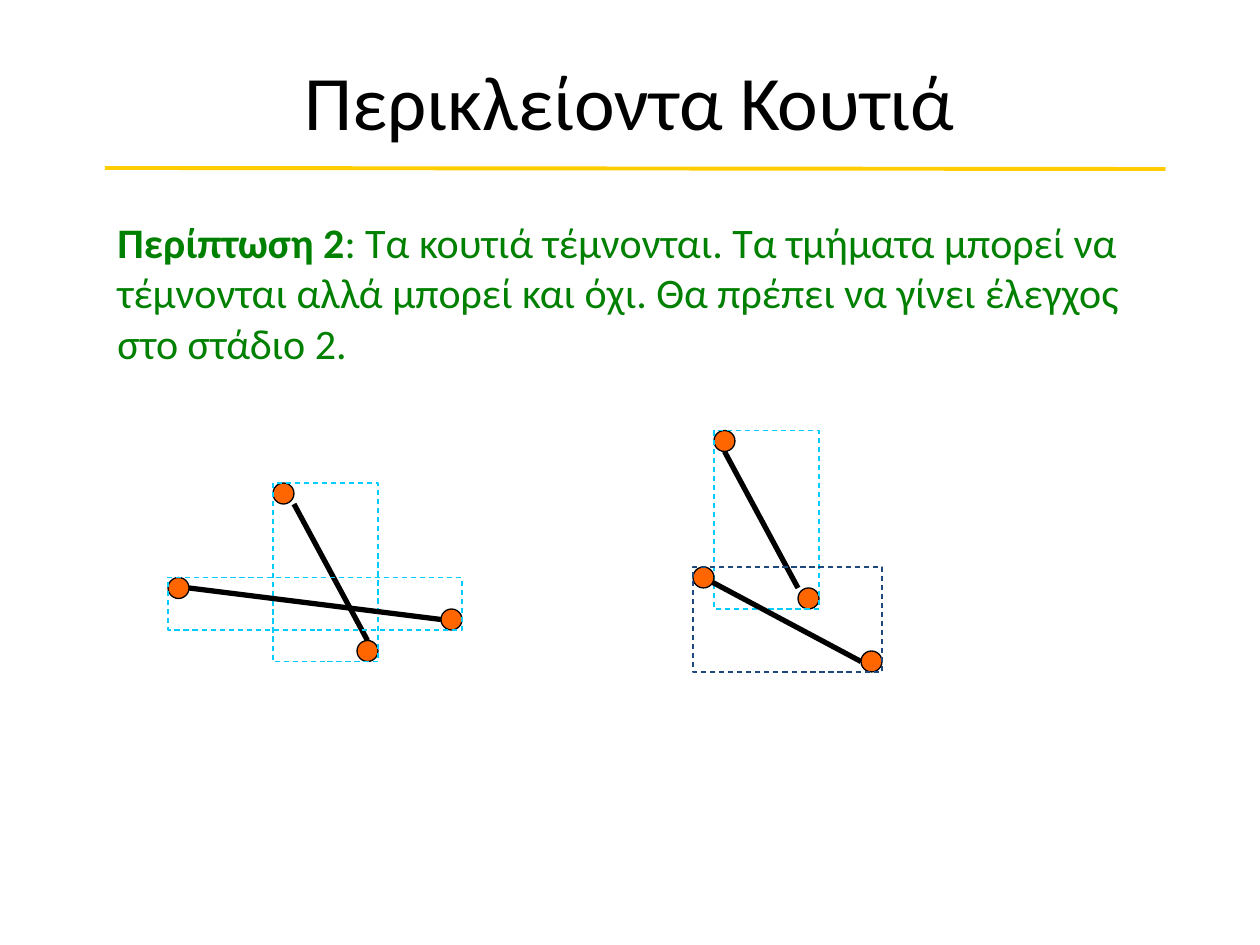
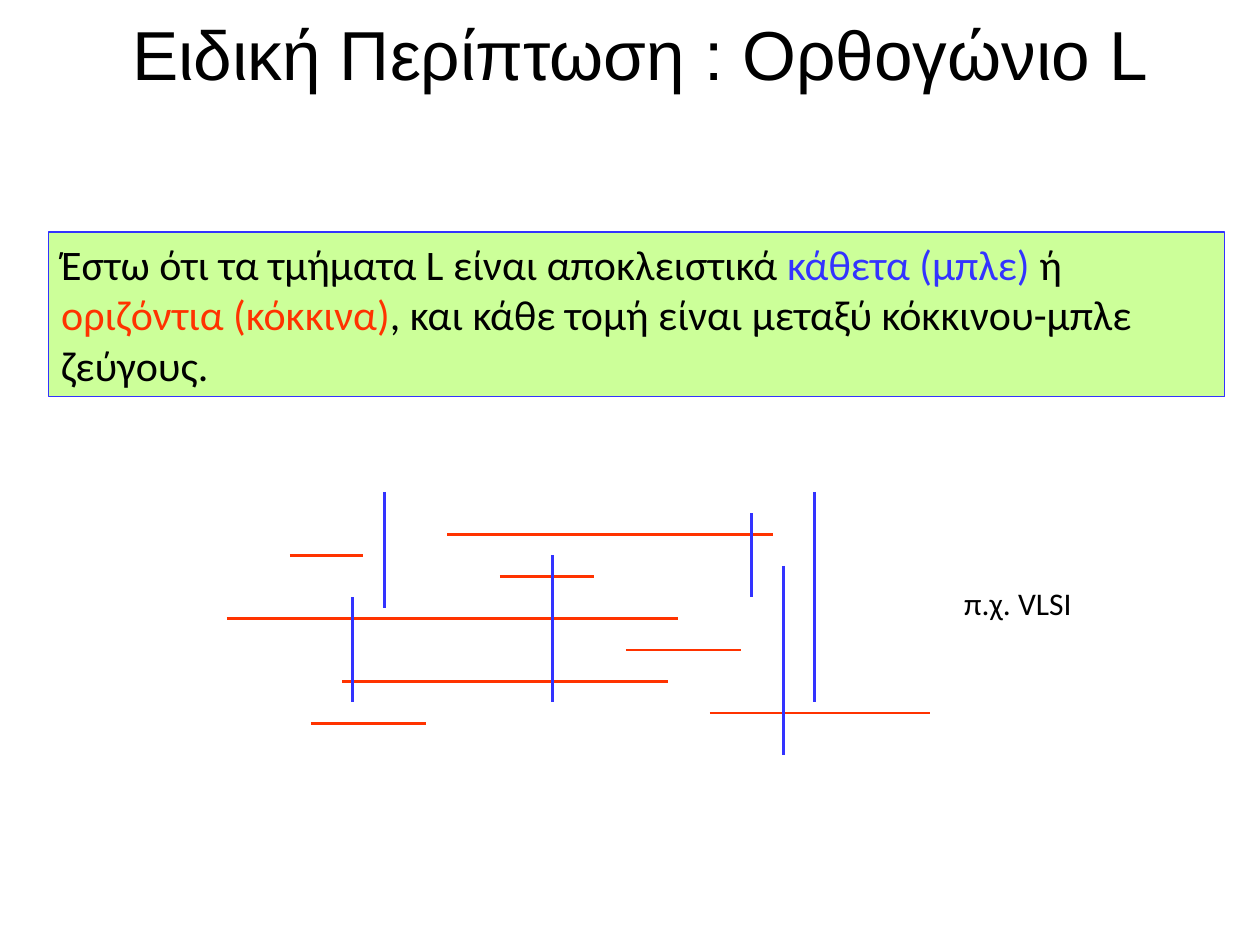
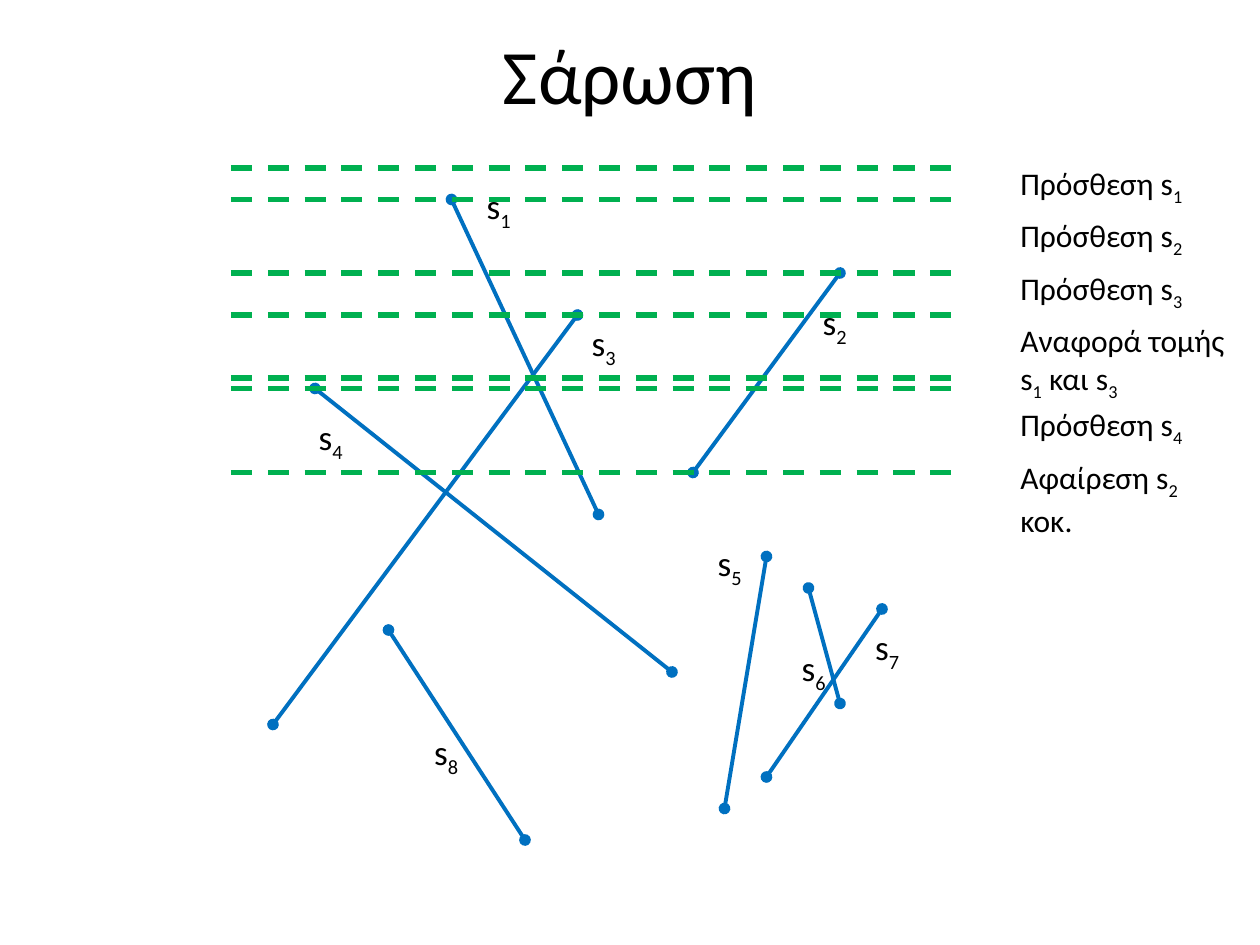
from lxml import etree
from pptx import Presentation
from pptx import util as u
from pptx.dml.color import RGBColor
from pptx.enum import dml, shapes, text
from pptx.oxml.ns import qn

COLOURS = {
    "black": "000000", "gold": "FFCC00", "green": "008000", "orange": "FF6600",
    "cyan": "00CCFF", "navy": "1F497D", "lime": "CCFF99", "blue": "3333FF",
    "red": "FF3300", "segment": "0070C0", "sweep": "00B050",
}
WIDTH, HEIGHT = u.Inches(10), u.Inches(7.5)
COLUMNS = 120
CELL = WIDTH / COLUMNS
DOT = 2

BOXES_TITLE = ("Περικλείοντα Κουτιά", (9, 2, 102, 15), "Calibri", 44)
CASE_TEXT = [
    ("Περίπτωση 2", "bold"),
    (": Τα κουτιά τέμνονται. Τα τμήματα μπορεί να τέμνονται αλλά μπορεί και όχι. "
     "Θα πρέπει να γίνει έλεγχος στο στάδιο 2.", ""),
]
CROSSING_PAIR = [
    ((28, 48, 35, 61), (26, 46, 10, 17), "cyan"),
    ((18, 56, 42, 59), (16, 55, 28, 5), "cyan"),
]
SEPARATE_PAIR = [
    ((69, 43, 76, 56), (68, 41, 10, 17), "cyan"),
    ((67, 55, 82, 63), (66, 54, 18, 10), "navy"),
]

RIGHT_ANGLE_TITLE = ("Ειδική Περίπτωση : Ορθογώνιο L", (10, 0, 102, 10), "Arial", 39.6)
RIGHT_ANGLE_TEXT = [
    ("Έστω ότι τα τμήματα L είναι αποκλειστικά ", ""), ("κάθετα (μπλε) ", "blue"),
    ("ή ", ""), ("οριζόντια (κόκκινα)", "red"),
    (", και κάθε τομή είναι μεταξύ κόκκινου-μπλε ζεύγους.", ""),
]
HORIZONTALS = [(51, 43, 74), (55, 48, 57), (65, 33, 64), (62, 60, 71),
               (59, 22, 65), (53, 28, 35), (69, 30, 41), (68, 68, 89)]
VERTICALS = [(53, 53, 67), (37, 47, 58), (34, 57, 67),
             (72, 49, 57), (78, 47, 67), (75, 54, 72)]
SHIFT_X, SHIFT_Y = -0.4, -0.1

SWEEP_TITLE = ("Σάρωση", (6, 0, 108, 14), "Calibri", 44)
SEGMENTS = [(43, 19, 57, 49), (30, 37, 64, 64), (55, 30, 26, 69), (80, 26, 66, 45),
            (37, 60, 50, 80), (73, 53, 69, 77), (77, 56, 80, 67), (84, 58, 73, 74)]
LABEL_CORNERS = [(45, 17), (77, 28), (55, 30), (29, 39),
                 (67, 51), (75, 61), (82, 59), (40, 69)]
SWEEP_ROWS = [16, 19, 26, 30, 36, 37, 45]
ADDITION = "Πρόσθεση s"
EVENTS = [
    (15, [(ADDITION, ""), ("1", "sub")]),
    (20, [(ADDITION, ""), ("2", "sub")]),
    (25, [(ADDITION, ""), ("3", "sub")]),
    (30, [("Αναφορά τομής s", ""), ("1", "sub"), (" και s", ""), ("3", "sub")]),
    (38, [(ADDITION, ""), ("4", "sub")]),
    (43, [("Αφαίρεση s", ""), ("2", "sub"), (" κοκ.", "")]),
]


def cells(*counts):
    return [round(count * CELL) for count in counts]


def colour(name):
    return RGBColor.from_string(COLOURS[name])


def write(frame, spans, size, base="black", align=text.PP_ALIGN.LEFT, wrap=True):
    frame.word_wrap = wrap
    para = frame.paragraphs[0]
    para.alignment = align
    for words, style in spans:
        span = para.add_run()
        span.text = words
        span.font.name = "Calibri"
        span.font.size = u.Pt(size)
        span.font.bold = style == "bold"
        span.font.color.rgb = colour(style if style in COLOURS else base)
        if style == "sub":
            span.font._element.set("baseline", "-25000")


def add_text(page, place, spans, size, **style):
    box = page.shapes.add_textbox(*cells(*place))
    write(box.text_frame, spans, size, **style)
    return box


def add_line(page, ends, name, width, dashed=False, ovals=False):
    line = page.shapes.add_connector(shapes.MSO_CONNECTOR.STRAIGHT, *cells(*ends))
    line.line.color.rgb = colour(name)
    line.line.width = u.Pt(width)
    if dashed:
        line.line.dash_style = dml.MSO_LINE.DASH
    properties = line._element.spPr
    if ovals:
        for end in ("a:headEnd", "a:tailEnd"):
            etree.SubElement(properties.find(qn("a:ln")), qn(end), type="oval")
    etree.SubElement(properties, qn("a:effectLst"))


def add_shape(page, kind, place, edge, fill=None, dashed=False):
    shape = page.shapes.add_shape(kind, *cells(*place))
    shape.shadow.inherit = False
    if fill:
        shape.fill.solid()
        shape.fill.fore_color.rgb = colour(fill)
    else:
        shape.fill.background()
    shape.line.color.rgb = colour(edge)
    shape.line.width = u.Pt(0.75)
    if dashed:
        shape.line.dash_style = dml.MSO_LINE.DASH
    return shape


def add_page(deck, title, place, font, size):
    page = deck.slides.add_slide(deck.slide_layouts[5])
    heading = page.shapes.title
    heading.left, heading.top, heading.width, heading.height = cells(*place)
    heading.text_frame.text = title
    heading.text_frame.vertical_anchor = text.MSO_ANCHOR.MIDDLE
    para = heading.text_frame.paragraphs[0]
    para.alignment = text.PP_ALIGN.CENTER
    para.runs[0].font.name = font
    para.runs[0].font.size = u.Pt(size)
    para.runs[0].font.color.rgb = colour("black")
    return page


def add_boxed_segments(page, pair):
    for ends, bounds, edge in pair:
        left, top, width, height = bounds
        add_line(page, ends, "black", 3)
        for x, y in ((left, top), (left + width - DOT, top + height - DOT)):
            add_shape(page, shapes.MSO_SHAPE.OVAL, (x, y, DOT, DOT), "black", "orange")
        add_shape(page, shapes.MSO_SHAPE.RECTANGLE, bounds, edge, dashed=True)


def build_boxes(deck):
    page = add_page(deck, *BOXES_TITLE)
    add_line(page, (10, 16, 111, 16.1), "gold", 2.25)
    add_text(page, (10, 20, 102, 15.7), CASE_TEXT, 24, base="green")
    add_boxed_segments(page.shapes.add_group_shape(), CROSSING_PAIR)
    add_boxed_segments(page, SEPARATE_PAIR)


def build_right_angles(deck):
    page = add_page(deck, *RIGHT_ANGLE_TITLE)
    panel = add_shape(page, shapes.MSO_SHAPE.RECTANGLE, (4.65, 22.1, 112, 15.7), "blue", "lime")
    panel.text_frame.vertical_anchor = text.MSO_ANCHOR.TOP
    write(panel.text_frame, RIGHT_ANGLE_TEXT, 24)
    lines = [(start, row, end, row, "red") for row, start, end in HORIZONTALS]
    lines += [(column, start, column, end, "blue") for column, start, end in VERTICALS]
    for x1, y1, x2, y2, name in lines:
        ends = (x1 + SHIFT_X, y1 + SHIFT_Y, x2 + SHIFT_X, y2 + SHIFT_Y)
        add_line(page, ends, name, 1.5)
    add_text(page, (90.6, 55, 12.7, 4.8), [("π.χ. VLSI", "")], 18,
             align=text.PP_ALIGN.CENTER, wrap=False)


def build_sweep(deck):
    page = add_page(deck, *SWEEP_TITLE)
    for ends in SEGMENTS:
        add_line(page, ends, "segment", 2.25, ovals=True)
    for number, (x, y) in enumerate(LABEL_CORNERS, 1):
        add_text(page, (x, y, 5, 5.25), [("s", ""), (str(number), "sub")], 20,
                 align=text.PP_ALIGN.CENTER)
    for row in SWEEP_ROWS:
        add_line(page, (22, row, 91, row), "sweep", 3, dashed=True)
    for row, spans in EVENTS:
        two_lines = len(spans) > 3
        add_text(page, (96, row, 24 if two_lines else 18.5, 8.5 if two_lines else 4.8),
                 spans, 18, wrap=two_lines)


def main():
    deck = Presentation()
    deck.slide_width, deck.slide_height = WIDTH, HEIGHT
    build_boxes(deck)
    build_right_angles(deck)
    build_sweep(deck)
    deck.save("out.pptx")


if __name__ == "__main__":
    main()
